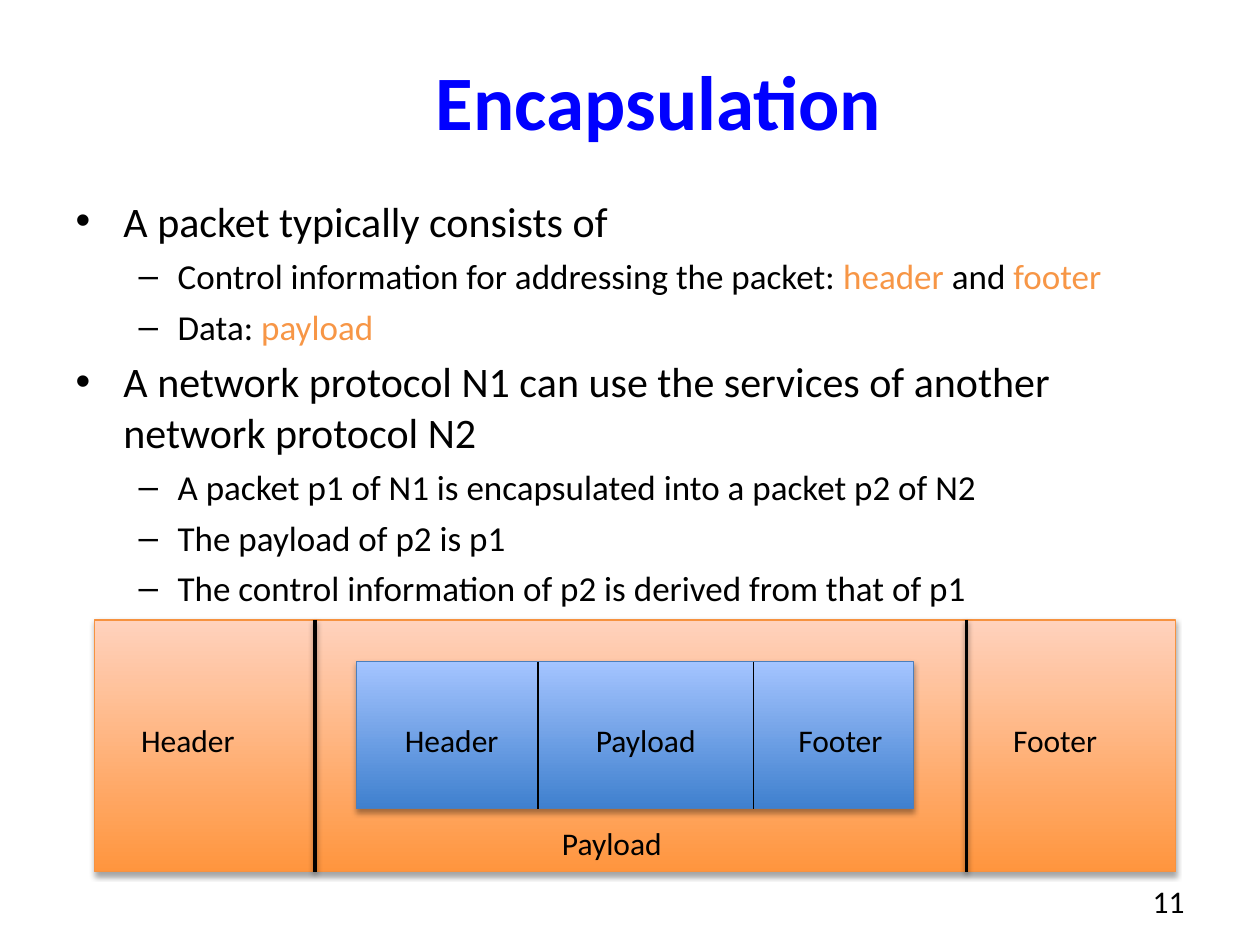
from lxml import etree
from pptx import Presentation
from pptx.dml.color import RGBColor
from pptx.enum import shapes, text
from pptx.oxml.ns import qn
from pptx.util import Inches, Pt

BLACK = RGBColor(0, 0, 0)
TITLE_BLUE = RGBColor(0, 0, 0xFF)
ACCENT = RGBColor(0xF7, 0x96, 0x46)
ORANGE_DARK = RGBColor(0xFF, 0x95, 0x3E)
ORANGE_LIGHT = RGBColor(0xFF, 0xD2, 0xBD)
ORANGE_LINE = RGBColor(0xF6, 0x92, 0x40)
BLUE_DARK = RGBColor(0x3F, 0x80, 0xCE)
BLUE_LIGHT = RGBColor(0xA4, 0xC4, 0xFF)
BLUE_LINE = RGBColor(0x4B, 0x7E, 0xBC)
FONT = "Calibri"

# Level, then runs; runs at odd positions are highlighted.
BULLETS = [
    (0, ["A packet typically consists of"]),
    (1, ["Control information for addressing the packet: ", "header", " and ", "footer"]),
    (1, ["Data: ", "payload"]),
    (0, ["A network protocol N1 can use the services of another network protocol N2"]),
    (1, ["A packet p1 of N1 is encapsulated into a packet p2 of N2"]),
    (1, ["The payload of p2 is p1"]),
    (1, ["The control information of p2 is derived from that of p1"]),
]
# Size, left margin and hanging indent in inches, bullet character
LEVELS = [(24, 0.38, -0.38, "•"), (20, 0.81, -0.31, "–")]

OUTER_TOP, OUTER_HEIGHT = 4.92, 2
INNER_TOP, INNER_HEIGHT = 5.25, 1.17
LABEL_TOP = 5.72


def style_font(font, size, color=BLACK, bold=False):
    font.name, font.size, font.bold = FONT, Pt(size), bold
    font.color.rgb = color


def place(sp, left, top, width, height):
    sp.left, sp.top = Inches(left), Inches(top)
    sp.width, sp.height = Inches(width), Inches(height)


def set_insets(tf, left, top, right, bottom):
    tf.margin_left, tf.margin_top = Inches(left), Inches(top)
    tf.margin_right, tf.margin_bottom = Inches(right), Inches(bottom)


def add_shadow(effects, alpha, dist):
    """Add a soft black shadow that falls straight down."""
    shadow = etree.SubElement(effects, qn("a:outerShdw"), blurRad=str(Pt(3.1)),
                              dist=str(Pt(dist)), dir="5400000", rotWithShape="0")
    color = etree.SubElement(shadow, qn("a:srgbClr"), val=str(BLACK))
    etree.SubElement(color, qn("a:alpha"), val=str(alpha * 1000))


def fill_title(sp):
    place(sp, 0.5, 0, 9.5, 1.58)
    tf = sp.text_frame
    tf.text = "Encapsulation"
    tf.vertical_anchor = text.MSO_ANCHOR.MIDDLE
    set_insets(tf, 0.1, 0.05, 0.14, 0.05)
    p = tf.paragraphs[0]
    p.alignment = text.PP_ALIGN.CENTER
    style_font(p.runs[0].font, 44, TITLE_BLUE, bold=True)


def fill_body(sp):
    place(sp, 0.5, 1.5, 9, 3.5)
    tf = sp.text_frame
    tf.auto_size = text.MSO_AUTO_SIZE.NONE
    set_insets(tf, 0.1, 0.05, 0.14, 0.05)
    for i, (level, parts) in enumerate(BULLETS):
        p = tf.add_paragraph() if i else tf.paragraphs[0]
        size, margin, indent, bullet = LEVELS[level]
        p.level = level
        p.space_before = Pt(5 if i else 0)
        pPr = p._p.get_or_add_pPr()
        pPr.set("marL", str(Inches(margin)))
        pPr.set("indent", str(Inches(indent)))
        etree.SubElement(pPr, qn("a:buChar"), char=bullet)
        for j, part in enumerate(parts):
            r = p.add_run()
            r.text = part
            style_font(r.font, size, ACCENT if j % 2 else BLACK)


def add_packet(s, left, top, width, height, dark, light, line):
    sp = s.shapes.add_shape(shapes.MSO_SHAPE.RECTANGLE, Inches(left), Inches(top),
                            Inches(width), Inches(height))
    sp.fill.gradient()
    sp.fill.gradient_angle = 90
    for stop, color, position in zip(sp.fill.gradient_stops, (dark, light), (0, 1)):
        stop.color.rgb, stop.position = color, position
    sp.line.color.rgb, sp.line.width = line, Pt(0.75)
    sp.shadow.inherit = False
    add_shadow(sp._element.spPr.find(qn("a:effectLst")), 35, 1.8)


def add_divider(s, x, top, height, width, shadow=False):
    line = s.shapes.add_connector(shapes.MSO_CONNECTOR.STRAIGHT, Inches(x), Inches(top),
                                  Inches(x), Inches(top + height))
    line.line.color.rgb, line.line.width = BLACK, Pt(width)
    effects = etree.SubElement(line._element.spPr, qn("a:effectLst"))
    if shadow:
        add_shadow(effects, 38, 1.6)


def add_label(s, words, left, top, width, align=text.PP_ALIGN.LEFT,
              height=0.39, insets=(0.04, 0, 0.04, 0)):
    tf = s.shapes.add_textbox(Inches(left), Inches(top), Inches(width),
                              Inches(height)).text_frame
    tf.word_wrap = True
    set_insets(tf, *insets)
    tf.text = words
    p = tf.paragraphs[0]
    p.alignment = align
    style_font(p.runs[0].font, 18)


def main():
    prs = Presentation()
    prs.slide_width, prs.slide_height = Inches(10), Inches(7.5)
    s = prs.slides.add_slide(prs.slide_layouts[1])
    fill_title(s.shapes.title)
    fill_body(s.placeholders[1])

    add_packet(s, 0.75, OUTER_TOP, 8.58, OUTER_HEIGHT, ORANGE_DARK, ORANGE_LIGHT, ORANGE_LINE)
    for x in (2.5, 7.67):
        add_divider(s, x, OUTER_TOP, OUTER_HEIGHT, 2, shadow=True)
    add_label(s, "Header", 1.08, LABEL_TOP, 1.17)
    add_label(s, "Payload", 4.42, 6.54, 1.25)
    add_label(s, "Footer", 8, LABEL_TOP, 1)

    add_packet(s, 2.83, INNER_TOP, 4.42, INNER_HEIGHT, BLUE_DARK, BLUE_LIGHT, BLUE_LINE)
    for words, left, width in (("Header", 3, 1.17), ("Payload", 4.54, 1.17), ("Footer", 6.17, 1)):
        add_label(s, words, left, LABEL_TOP, width, text.PP_ALIGN.CENTER)
    for x in (4.27, 5.98):
        add_divider(s, x, INNER_TOP, INNER_HEIGHT, 1)

    add_label(s, "11", 7.17, 6.95, 2.33, text.PP_ALIGN.RIGHT, 0.4, (0.1, 0.05, 0.1, 0.05))
    prs.save("out.pptx")


if __name__ == "__main__":
    main()
